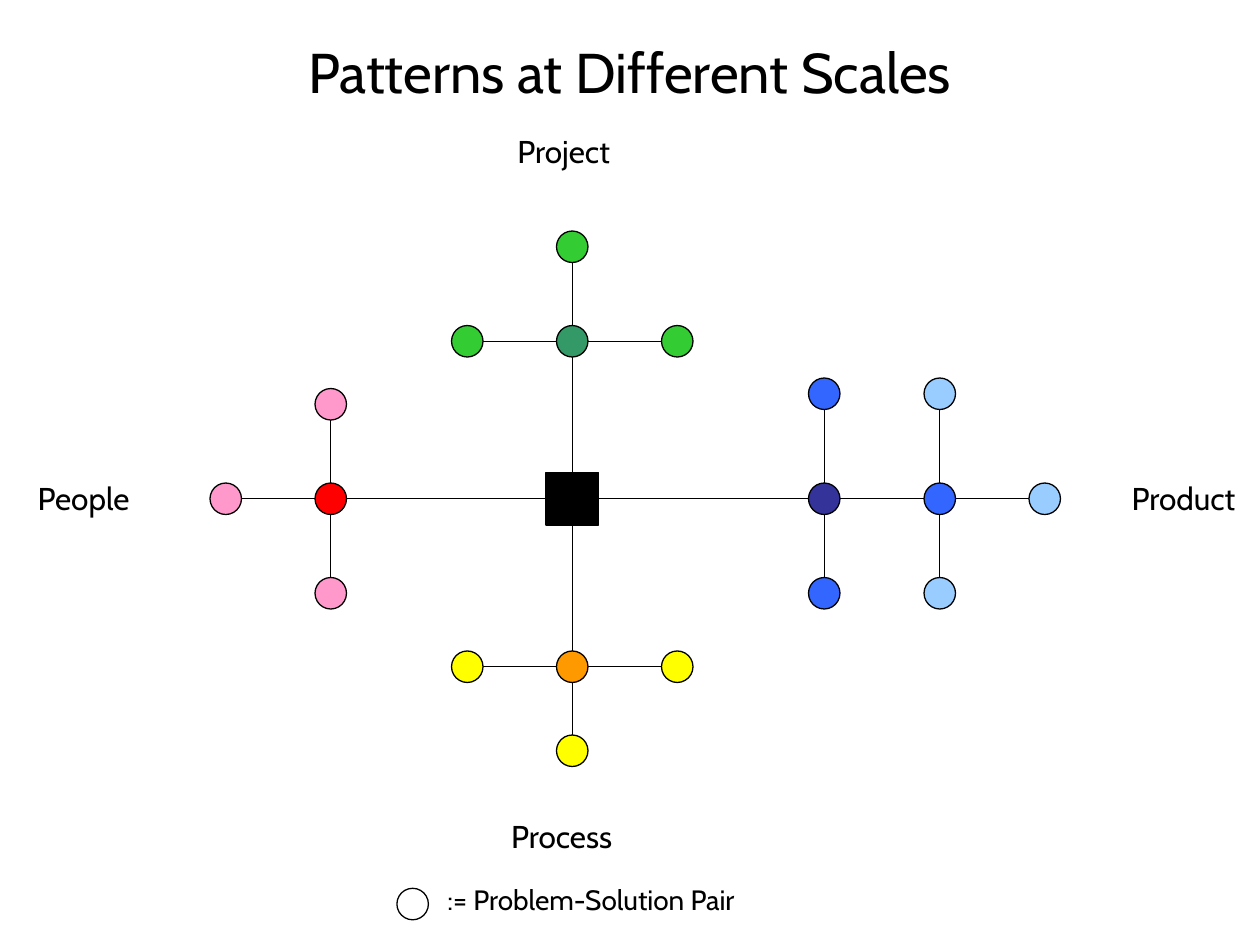
import collections

import pptx
import pptx.dml.color
import pptx.enum.shapes
import pptx.enum.text
import pptx.oxml
import pptx.util

RGBColor = pptx.dml.color.RGBColor
MSO_SHAPE = pptx.enum.shapes.MSO_SHAPE
PP_ALIGN = pptx.enum.text.PP_ALIGN
ANCHOR = pptx.enum.text.MSO_ANCHOR
AUTO_SIZE = pptx.enum.text.MSO_AUTO_SIZE

BLACK = RGBColor(0x00, 0x00, 0x00)
WHITE = RGBColor(0xFF, 0xFF, 0xFF)
TEAL = RGBColor(0x33, 0x99, 0x66)
GREEN = RGBColor(0x33, 0xCC, 0x33)
ORANGE = RGBColor(0xFF, 0x99, 0x00)
YELLOW = RGBColor(0xFF, 0xFF, 0x00)
RED = RGBColor(0xFF, 0x00, 0x00)
PINK = RGBColor(0xFF, 0x99, 0xCC)
NAVY = RGBColor(0x33, 0x33, 0x99)
BLUE = RGBColor(0x33, 0x66, 0xFF)
SKY = RGBColor(0x99, 0xCC, 0xFF)

FONT = "Cabin"
LINE_WIDTH = pptx.util.Pt(0.75)

# The slide is a grid of 120 columns and 90 rows of square cells.
COLUMNS, ROWS = 120, 90
CELL = pptx.util.Inches(10) // COLUMNS
NODE_RADIUS = 1.5
HUB_RADIUS = 2.5

Box = collections.namedtuple("Box", "left top width height")
# dx and dy are columns and rows from the parent's centre.
Node = collections.namedtuple("Node", "dx dy color children", defaults=[()])

PATTERNS = [
    Node(0, -15, TEAL, [Node(0, -9, GREEN), Node(10, 0, GREEN), Node(-10, 0, GREEN)]),
    Node(0, 16, ORANGE, [Node(0, 8, YELLOW), Node(10, 0, YELLOW), Node(-10, 0, YELLOW)]),
    Node(-23, 0, RED, [Node(-10, 0, PINK), Node(0, 9, PINK), Node(0, -9, PINK)]),
    Node(24, 0, NAVY, [
        Node(0, -10, BLUE),
        Node(0, 9, BLUE),
        Node(11, 0, BLUE, [Node(0, -10, SKY), Node(0, 9, SKY), Node(10, 0, SKY)]),
    ]),
]

LABELS = {
    "Project": Box(48.1, 12, 12.2, 4.8),
    "Process": Box(47.5, 77.2, 13.2, 4.8),
    "People": Box(2.4, 45, 12, 4.8),
    "Product": Box(106.6, 45, 13.4, 4.8),
}


def cells(*counts):
    return [pptx.util.Emu(round(count * CELL)) for count in counts]


def add_text(page, box, text, size, align=PP_ALIGN.LEFT, wrap=False):
    frame = page.shapes.add_textbox(*cells(*box)).text_frame
    auto_size = AUTO_SIZE.NONE if wrap else AUTO_SIZE.SHAPE_TO_FIT_TEXT
    frame_format = {"word_wrap": wrap, "auto_size": auto_size,
                    "vertical_anchor": ANCHOR.MIDDLE if wrap else ANCHOR.TOP}
    for name, value in frame_format.items():
        setattr(frame, name, value)
    para = frame.paragraphs[0]
    para.alignment = align
    span = para.add_run()
    span.text = text
    for name, value in {"name": FONT, "size": pptx.util.Pt(size)}.items():
        setattr(span.font, name, value)
    span.font.color.rgb = BLACK


def add_mark(page, kind, x, y, radius, color):
    """Place an outlined shape around the centre x, y."""
    shape = page.shapes.add_shape(
        kind, *cells(x - radius, y - radius, 2 * radius, 2 * radius))
    shape.shadow.inherit = False
    shape.fill.solid()
    shape.fill.fore_color.rgb = color
    shape.line.color.rgb = BLACK
    shape.line.width = LINE_WIDTH


def add_link(page, *ends):
    link = page.shapes.add_connector(
        pptx.enum.shapes.MSO_CONNECTOR.STRAIGHT, *cells(*ends))
    link.line.color.rgb = BLACK
    link.line.width = LINE_WIDTH
    properties = link._element.spPr
    properties.append(pptx.oxml.parse_xml(
        '<a:effectLst xmlns:a="http://schemas.openxmlformats.org/drawingml/2006/main"/>'))


def add_branches(page, x, y, radius, nodes):
    """Draw the nodes around the parent at x, y, joined edge to edge."""
    for node in nodes:
        length = abs(node.dx) + abs(node.dy)
        step_x, step_y = node.dx / length, node.dy / length
        node_x, node_y = x + node.dx, y + node.dy
        add_link(page, x + step_x * radius, y + step_y * radius,
                 node_x - step_x * NODE_RADIUS, node_y - step_y * NODE_RADIUS)
        add_mark(page, MSO_SHAPE.OVAL, node_x, node_y, NODE_RADIUS, node.color)
        add_branches(page, node_x, node_y, NODE_RADIUS, node.children)


def add_pattern_map(page, hub):
    """Draw the square hub in its box and the four patterns around it."""
    x, y = hub.left + hub.width / 2, hub.top + hub.height / 2
    add_branches(page, x, y, HUB_RADIUS, PATTERNS)
    add_mark(page, MSO_SHAPE.RECTANGLE, x, y, HUB_RADIUS, BLACK)


def add_legend(page, box):
    add_mark(page, MSO_SHAPE.OVAL, box.left + NODE_RADIUS,
             box.top + 2.6, NODE_RADIUS, WHITE)
    text_box = Box(box.left + 2.2, box.top, box.width - 2.2, box.height)
    add_text(page, text_box, ":= Problem-Solution Pair", 16, PP_ALIGN.CENTER)


def main():
    deck = pptx.Presentation()
    deck.slide_width, deck.slide_height = cells(COLUMNS, ROWS)
    page = deck.slides.add_slide(deck.slide_layouts[6])
    add_text(page, Box(6, 3.6, 108, 6.4), "Patterns at Different Scales", 32,
             PP_ALIGN.CENTER, wrap=True)
    add_pattern_map(page, Box(52, 45, 2 * HUB_RADIUS, 2 * HUB_RADIUS))
    for text, box in LABELS.items():
        add_text(page, box, text, 18)
    add_legend(page, Box(37.8, 83.5, 34.8, 4.4))
    deck.save("out.pptx")


if __name__ == "__main__":
    main()
